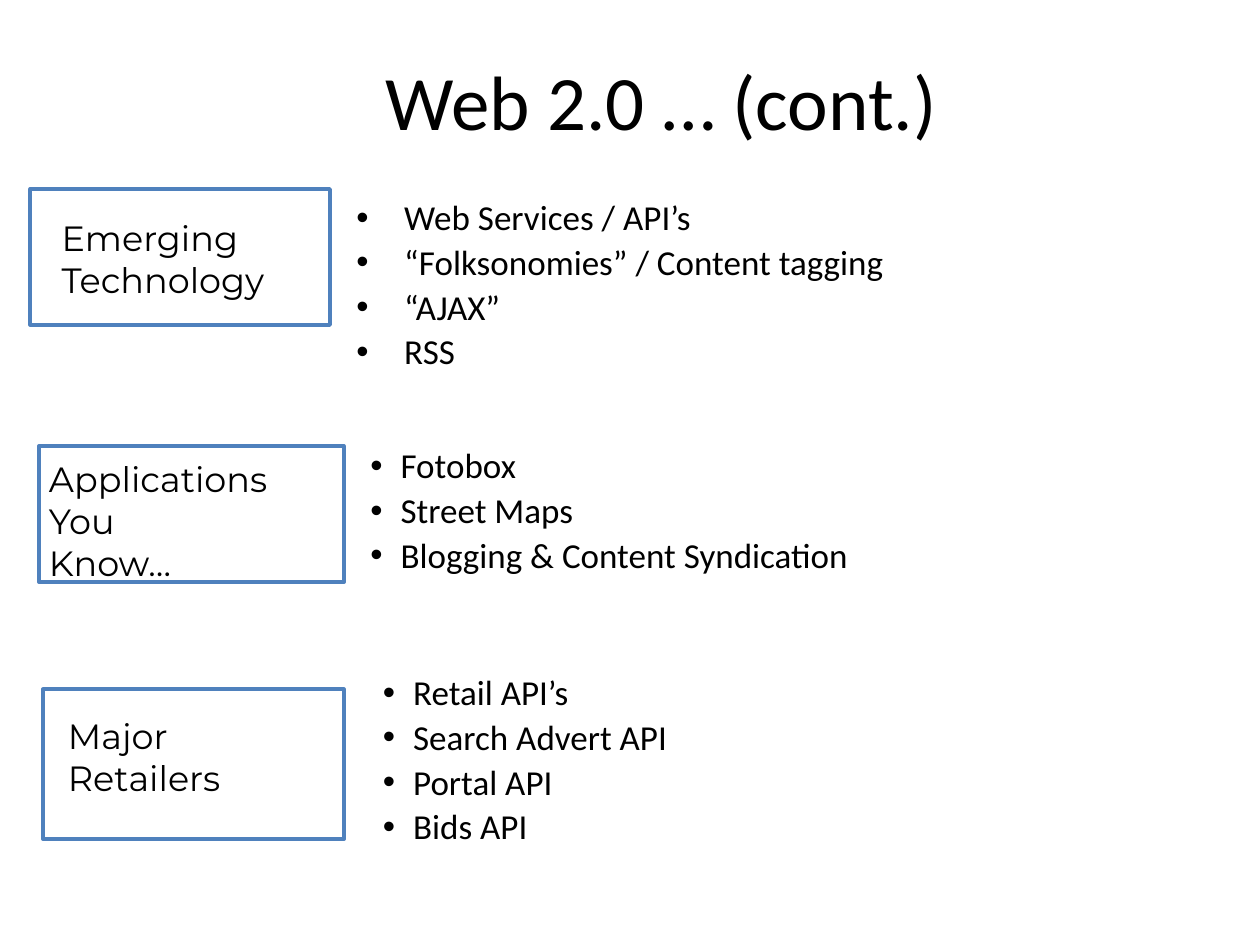
from pptx import Presentation
from pptx.dml.color import RGBColor
from pptx.enum.shapes import MSO_SHAPE
from pptx.enum.text import MSO_ANCHOR, PP_ALIGN
from pptx.oxml.ns import qn
from pptx.util import Inches, Pt
from lxml.etree import SubElement

COLORS = {"text": "000000", "fill": "FFFFFF", "line": "4F81BD"}

# Each group: frame, label place, label, list place, indent, items
GROUPS = [
    ((0.24, 1.5, 2.38, 1.08), (0.39, 1.67, 2.07, 0.77), "Emerging Technology",
     (2.73, 1.54, 5.08, 1.77), 0.38,
     ["Web Services / API’s", "“Folksonomies” / Content tagging", "“AJAX”", "RSS"]),
    ((0.31, 3.54, 2.42, 1.08), (0.29, 3.58, 2.41, 1.11), "Applications You\nKnow…",
     (2.84, 3.51, 5.08, 1.47), 0.24,
     ["Fotobox", "Street Maps", "Blogging & Content Syndication"]),
    ((0.34, 5.47, 2.39, 1.19), (0.44, 5.62, 2.25, 0.77), "Major Retailers",
     (2.94, 5.31, 5.08, 1.85), 0.24,
     ["Retail API’s", "Search Advert API", "Portal API", "Bids API"]),
]


def add_text(place, text, font, size):
    """Add a wrapped text box and return its text frame."""
    frame = slide.shapes.add_textbox(*map(Inches, place)).text_frame
    frame.word_wrap = True
    frame.text = text
    for par in frame.paragraphs:
        for run in par.runs:
            run.font.name = font
            run.font.size = Pt(size)
            run.font.color.rgb = RGBColor.from_string(COLORS["text"])
    return frame


def add_bullet(par, indent):
    props = par._p.get_or_add_pPr()
    props.set("marL", str(Inches(indent)))
    props.set("indent", str(-Inches(indent)))
    SubElement(props, qn("a:buFont"), typeface="Arial")
    SubElement(props, qn("a:buChar"), char="•")


prs = Presentation()
prs.slide_width = Inches(10)
prs.slide_height = Inches(7.5)
slide = prs.slides.add_slide(prs.slide_layouts[6])

title = add_text((0.5, 0.33, 9.5, 0.92), "Web 2.0 … (cont.)", "Calibri", 44)
title.vertical_anchor = MSO_ANCHOR.MIDDLE
title.paragraphs[0].alignment = PP_ALIGN.CENTER

for box, spot, label, area, indent, items in GROUPS:
    rect = slide.shapes.add_shape(MSO_SHAPE.RECTANGLE, *map(Inches, box))
    rect.shadow.inherit = False
    rect.fill.solid()
    rect.fill.fore_color.rgb = RGBColor.from_string(COLORS["fill"])
    rect.line.color.rgb = RGBColor.from_string(COLORS["line"])
    rect.line.width = Pt(2)
    add_text(spot, label, "Montserrat", 20)

    bullets = add_text(area, "\n".join(items), "Calibri", 20)
    for i, par in enumerate(bullets.paragraphs):
        par.line_spacing = 0.9
        par.space_before = Pt(4 if i else 0)
        add_bullet(par, indent)

prs.save("out.pptx")
